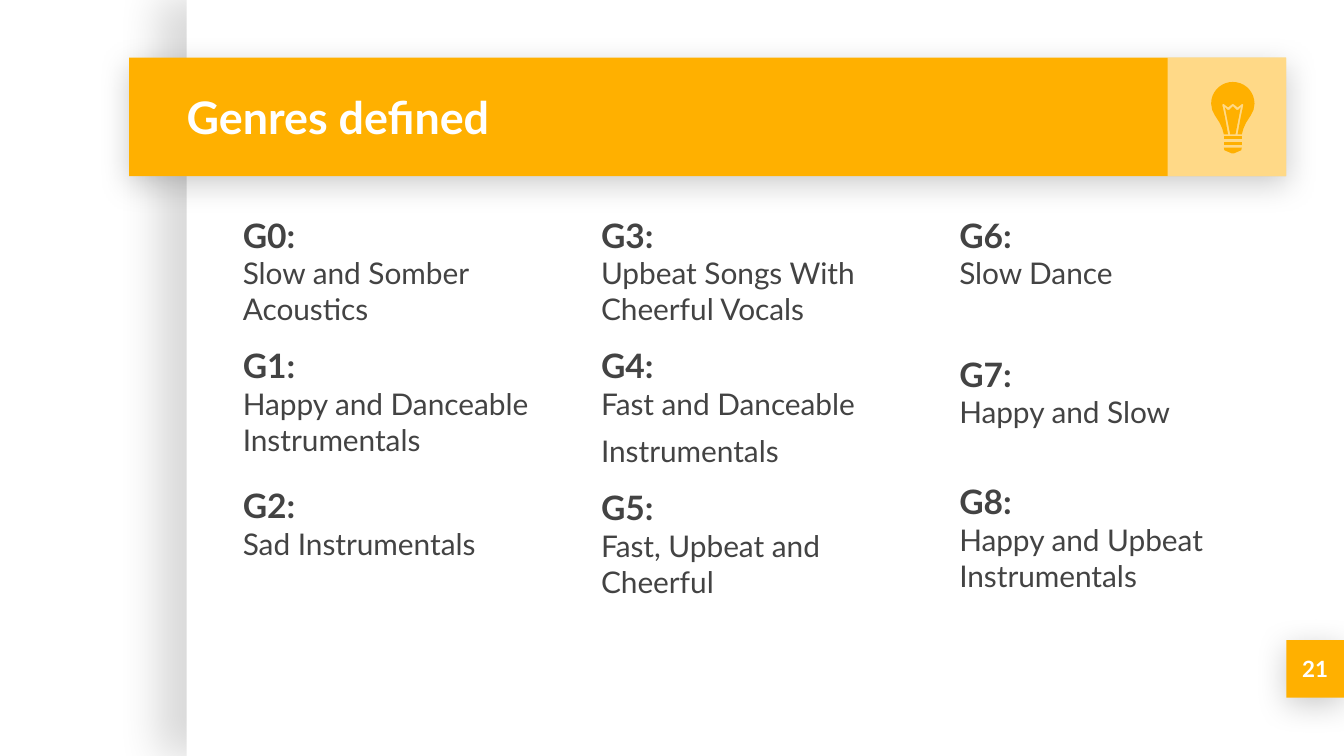
from math import cos, radians, sin

from lxml.etree import SubElement
from pptx import Presentation
from pptx.dml.color import RGBColor
from pptx.enum.shapes import MSO_SHAPE as Preset
from pptx.enum.text import MSO_ANCHOR as Anchor, PP_ALIGN as Align
from pptx.oxml.ns import qn
from pptx.util import Cm, Pt

AMBER, WHITE, GREY = "FFB000", "FFFFFF", "434343"
HEADING = {"size": Pt(18), "bold": True}
DETAIL = {"size": Pt(16), "bold": False}
PANEL_SHADOW = {"alpha": 15, "blur": 22.5, "distance": 15, "angle": 180}
CARD_SHADOW = {"alpha": 20, "blur": 16.9, "distance": 3.8, "angle": 90}

# Each line: text, format, space before in points
COLUMNS = [
    [("G0:", HEADING, 6), ("Slow and Somber Acoustics", DETAIL, 0),
     ("G1:", HEADING, 10), ("Happy and Danceable Instrumentals", DETAIL, 0),
     ("G2:", HEADING, 15), ("Sad Instrumentals", DETAIL, 0)],
    [("G3:", HEADING, 6), ("Upbeat Songs With Cheerful Vocals", DETAIL, 0),
     ("G4:", HEADING, 10), ("Fast and Danceable", DETAIL, 0),
     ("Instrumentals", DETAIL, 6),
     ("G5:", HEADING, 10), ("Fast, Upbeat and Cheerful", DETAIL, 0)],
    [("G6:", HEADING, 6), ("Slow Dance", DETAIL, 0),
     ("G7:", HEADING, 33.6), ("Happy and Slow", DETAIL, 0),
     ("G8:", HEADING, 27.6), ("Happy and Upbeat Instrumentals", DETAIL, 0)],
]

# Right halves of the bulb's parts: distance from its axis and height, in cm
BULB_AXIS = 23.3
DOME = [(0.41 * sin(radians(a)), 1.96 - 0.41 * cos(radians(a)))
        for a in range(0, 91, 10)]
GLASS = DOME + [(0.39, 2.08), (0.34, 2.18), (0.25, 2.32), (0.2, 2.43),
                (0.17, 2.54), (0.09, 2.54), (0.15, 2.21), (0.2, 1.98),
                (0.18, 1.96), (0.09, 2.03), (0, 1.96)]
FILAMENT = [(0, 2.01), (0.07, 2.08), (0.1, 2.08), (0.15, 2.03), (0.05, 2.54)]
BANDS = [[(0.17, top), (0.17, top + 0.06)] for top in (2.57, 2.69)]
TIP = [(0.17, 2.79), (0.16, 2.84), (0.02, 2.9)]


def colour(value):
    return RGBColor.from_string(value)


class SlideBuilder:
    def __init__(self, slide, font="Lato"):
        self.slide = slide
        self.font = font

    def paint(self, shape, fill, shadow=None):
        shape.shadow.inherit = False
        shape.fill.solid()
        shape.fill.fore_color.rgb = colour(fill)
        shape.line.fill.background()
        if shadow:
            effects = shape._element.spPr.find(qn("a:effectLst"))
            outer = SubElement(effects, qn("a:outerShdw"), {
                "blurRad": str(Pt(shadow["blur"])),
                "dist": str(Pt(shadow["distance"])),
                "dir": str(shadow["angle"] * 60000),
                "algn": "bl", "rotWithShape": "0"})
            black = SubElement(outer, qn("a:srgbClr"), val="000000")
            SubElement(black, qn("a:alpha"), val=str(shadow["alpha"] * 1000))

    def rectangle(self, box, fill, shadow=None, opacity=100):
        shape = self.slide.shapes.add_shape(Preset.RECTANGLE, *map(Cm, box))
        self.paint(shape, fill, shadow)
        if opacity < 100:
            solid = shape._element.spPr.find(qn("a:solidFill"))
            SubElement(solid[0], qn("a:alpha"), val=str(opacity * 1000))

    def text(self, box, lines, text_colour, anchor=Anchor.TOP, align=Align.LEFT):
        frame = self.slide.shapes.add_textbox(*map(Cm, box)).text_frame
        margins = {f"margin_{side}": Cm(0.25)
                   for side in ("left", "top", "right", "bottom")}
        for name, value in {"word_wrap": True, "vertical_anchor": anchor,
                            **margins}.items():
            setattr(frame, name, value)
        for index, (words, style, before) in enumerate(lines):
            paragraph = frame.add_paragraph() if index else frame.paragraphs[0]
            paragraph.alignment = align
            paragraph.space_before = Pt(before)
            run = paragraph.add_run()
            run.text = words
            for name, value in {"name": self.font, **style}.items():
                setattr(run.font, name, value)
            run.font.color.rgb = colour(text_colour)

    def symmetric_outline(self, axis, half, fill):
        """Draw a closed outline from its right half, mirrored at the axis."""
        mirrored = [(-x, y) for x, y in reversed(half)]
        points = [(Cm(axis + x), Cm(y)) for x, y in half + mirrored]
        builder = self.slide.shapes.build_freeform(*points[0])
        builder.add_line_segments(points[1:], close=True)
        self.paint(builder.convert_to_shape(), fill)


def main():
    presentation = Presentation()
    presentation.slide_width, presentation.slide_height = Cm(25.4), Cm(14.29)
    slide = presentation.slides.add_slide(presentation.slide_layouts[6])
    builder = SlideBuilder(slide)

    page_box = (24.31, 12.1, 1.09, 1.09)
    builder.rectangle((3.53, 0, 21.87, 14.29), WHITE, PANEL_SHADOW)
    builder.rectangle(page_box, AMBER, CARD_SHADOW)
    builder.rectangle((2.44, 1.09, 21.87, 2.24), AMBER, CARD_SHADOW)
    builder.rectangle((22.07, 1.09, 2.24, 2.24), WHITE, opacity=53)

    builder.text((3.28, 1.09, 18.72, 2.24),
                 [("Genres defined", {"size": Pt(24), "bold": True}, 0)],
                 WHITE, Anchor.MIDDLE)
    for index, lines in enumerate(COLUMNS):
        builder.text((4.34 + 6.77 * index, 3.81, 6.43, 9.37), lines, GREY)

    for half in [*BANDS, TIP, FILAMENT, GLASS]:
        builder.symmetric_outline(BULB_AXIS, half, AMBER)

    builder.text(page_box, [("21", {"size": Pt(12), "bold": True}, 0)],
                 WHITE, Anchor.MIDDLE, Align.CENTER)
    presentation.save("out.pptx")


if __name__ == "__main__":
    main()
